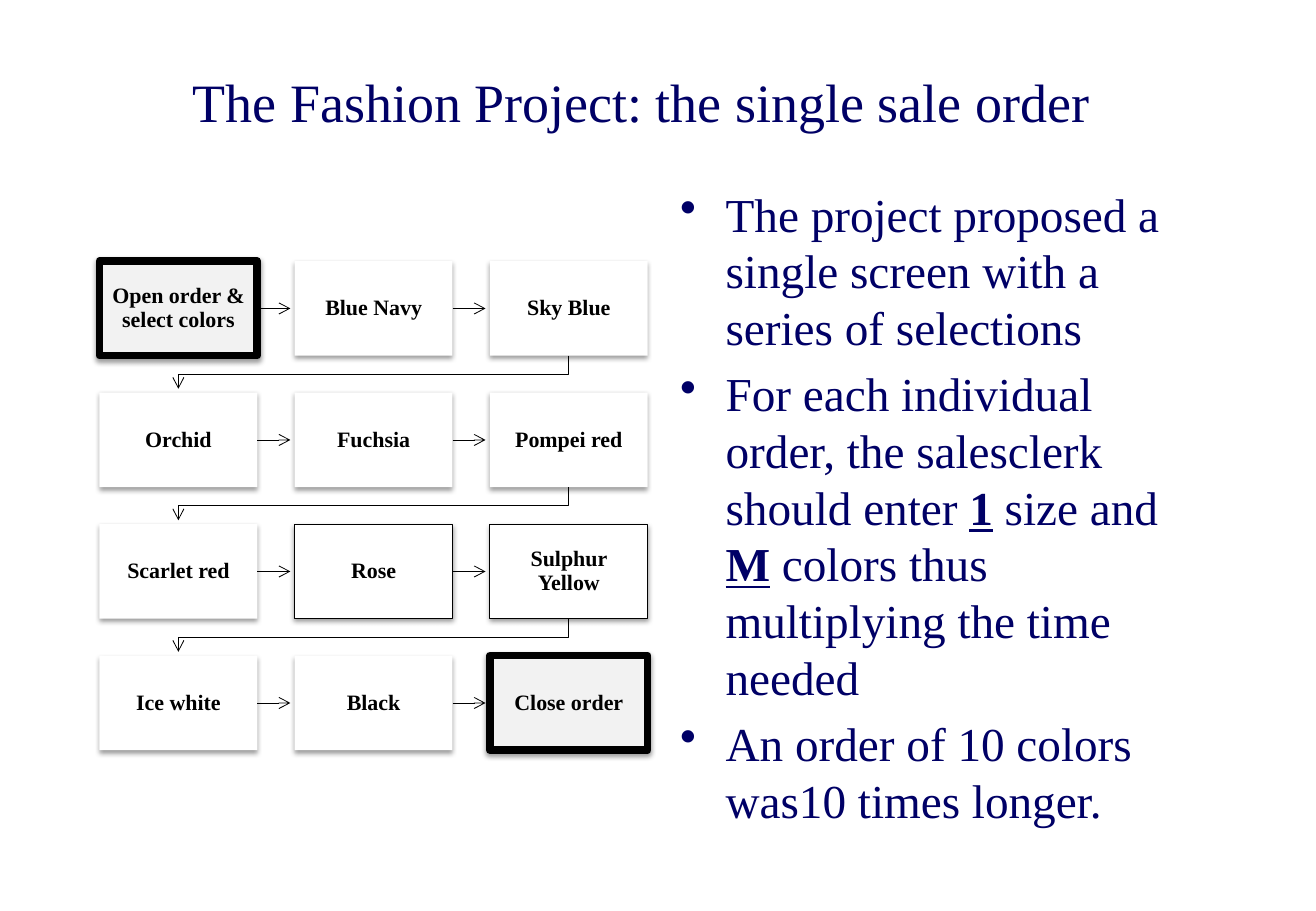
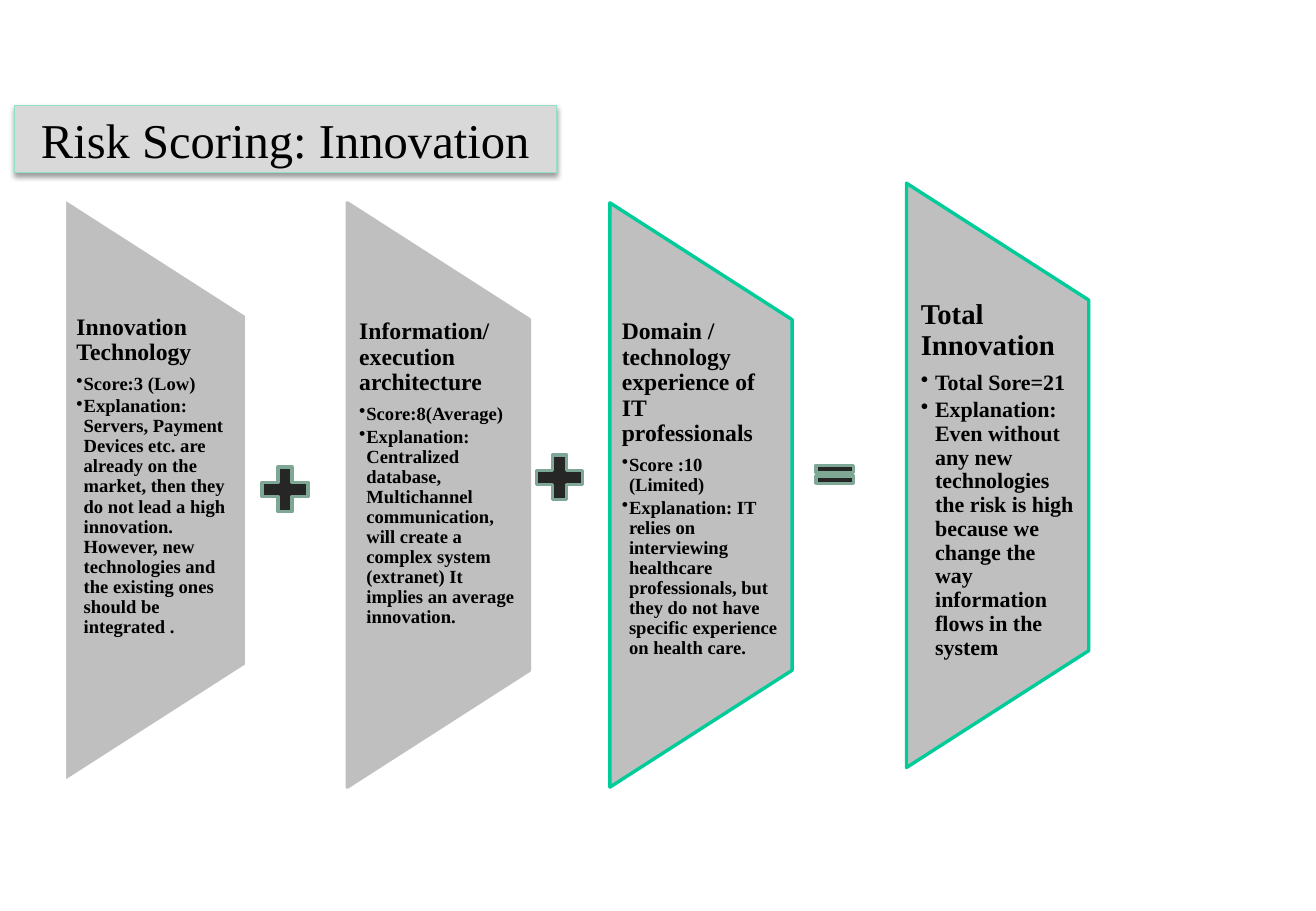
import pptx
import pptx.dml.color
import pptx.enum.shapes
import pptx.enum.text
import pptx.oxml
import pptx.oxml.ns
import pptx.util

Cm = pptx.util.Cm
Pt = pptx.util.Pt
RGBColor = pptx.dml.color.RGBColor
MSO_SHAPE = pptx.enum.shapes.MSO_SHAPE
PP_ALIGN = pptx.enum.text.PP_ALIGN
MSO_ANCHOR = pptx.enum.text.MSO_ANCHOR

FONT = "Times New Roman"
NAVY = RGBColor(0x00, 0x00, 0x66)
BLACK = RGBColor(0x00, 0x00, 0x00)
WHITE = RGBColor(0xFF, 0xFF, 0xFF)
PALE_GREY = RGBColor(0xF2, 0xF2, 0xF2)
TITLE_GREY = RGBColor(0xD9, 0xD9, 0xD9)
PANEL_GREY = RGBColor(0xBF, 0xBF, 0xBF)
CHARCOAL = RGBColor(0x26, 0x26, 0x26)
TEAL = RGBColor(0x00, 0xCC, 0x99)
LIGHT_TEAL = RGBColor(0x90, 0xDF, 0xC6)
SAGE = RGBColor(0x7E, 0xA7, 0x95)

ORDER_TITLE = "The Fashion Project: the single sale order"
ORDER_STEPS = [
    ["Open order & select colors", "Blue Navy", "Sky Blue"],
    ["Orchid", "Fuchsia", "Pompei red"],
    ["Scarlet red", "Rose", "Sulphur Yellow"],
    ["Ice white", "Black", "Close order"],
]
END_STEPS = ("Open order & select colors", "Close order")
OUTLINED_STEPS = ("Rose", "Sulphur Yellow")
# Each bullet is a list of (text, emphasized) runs.
ORDER_BULLETS = [
    [("The project proposed a single screen with a series of selections", False)],
    [("For each individual order, the salesclerk should enter ", False), ("1", True),
     (" size and ", False), ("M", True),
     (" colors thus multiplying the time needed", False)],
    [("An order of 10 colors was10 times longer.", False)],
]

RISK_TITLE = "Risk Scoring: Innovation"
# Left, top (cm), outline, heading size, bullet size, inset and indent (cm), texts.
RISK_PANELS = [
    (1.35, 6.58, WHITE, 14, 11, 0.25, 0.15, "Innovation Technology", [
        "Score:3 (Low)",
        "Explanation: Servers, Payment Devices etc. are already on the market, then "
        "they do not lead a high innovation. However, new technologies and the "
        "existing ones should be integrated ."]),
    (7.26, 6.68, PANEL_GREY, 14, 11, 0.25, 0.15, "Information/ execution architecture", [
        "Score:8(Average)",
        "Explanation: Centralized database, Multichannel communication, will create "
        "a complex system (extranet) It implies an average innovation."]),
    (12.75, 6.68, TEAL, 14, 11, 0.25, 0.15,
     "Domain / technology experience of IT professionals", [
         "Score :10 (Limited)",
         "Explanation: IT relies on interviewing healthcare professionals, but they "
         "do not have specific experience on health care."]),
    (18.95, 6.27, TEAL, 17, 13, 0.3, 0.3, "Total Innovation", [
        "Total Sore=21",
        "Explanation: Even without any new technologies the risk is high because we "
        "change the way information flows in the system"]),
]
OPERATORS = [
    (MSO_SHAPE.MATH_PLUS, 5.31, 9.6, 1.3, 1.27),
    (MSO_SHAPE.MATH_PLUS, 11.05, 9.35, 1.3, 1.27),
    (MSO_SHAPE.MATH_EQUAL, 16.92, 9.6, 1.07, 0.64),
]

STEP_LEFT, STEP_TOP, STEP_WIDTH, STEP_HEIGHT = 2.08, 5.46, 3.3, 1.98
STEP_PITCH_X, STEP_PITCH_Y = 4.08, 2.75
ARROW_LENGTH = 0.69
PANEL_WIDTH, PANEL_HEIGHT, PANEL_TEXT_HEIGHT = 3.81, 12.22, 7.34


def add_run(paragraph, text, size, color, bold=False, underline=False):
    run = paragraph.add_run()
    run.text = text
    run.font.name = FONT
    run.font.size = Pt(size)
    run.font.color.rgb = color
    run.font.bold = bold
    run.font.underline = underline


def add_bullet(paragraph, indent):
    properties = paragraph._p.get_or_add_pPr()
    properties.set("marL", str(Cm(indent)))
    properties.set("indent", str(-Cm(indent)))
    bullet = pptx.oxml.parse_xml(
        f'<a:buChar {pptx.oxml.ns.nsdecls("a")} char="•"/>')
    properties.append(bullet)


def set_frame(shape, anchor, inset_x=0.25, inset_y=0.13):
    frame = shape.text_frame
    frame.word_wrap = True
    frame.vertical_anchor = anchor
    frame.margin_left = frame.margin_right = Cm(inset_x)
    frame.margin_top = frame.margin_bottom = Cm(inset_y)
    return frame


def next_paragraph(frame, index):
    return frame.add_paragraph() if index else frame.paragraphs[0]


def add_preset(slide, preset, box, fill, line=None, line_width=0.5):
    shape = slide.shapes.add_shape(preset, *map(Cm, box))
    shape.shadow.inherit = False
    shape.fill.solid()
    shape.fill.fore_color.rgb = fill
    if line is None:
        shape.line.fill.background()
    else:
        shape.line.color.rgb = line
        shape.line.width = Pt(line_width)
    return shape


def add_drop_shadow(shape):
    effects = shape._element.spPr.find(pptx.oxml.ns.qn("a:effectLst"))
    effects.append(pptx.oxml.parse_xml(
        f'<a:outerShdw {pptx.oxml.ns.nsdecls("a")} blurRad="{Pt(3.1)}" '
        f'dist="{Pt(1.6)}" dir="5400000" rotWithShape="0">'
        '<a:srgbClr val="000000"><a:alpha val="38000"/></a:srgbClr></a:outerShdw>'))


def style_arrow(line):
    line.color.rgb = BLACK
    line.width = Pt(0.5)
    line._get_or_add_ln().append(pptx.oxml.parse_xml(
        f'<a:tailEnd {pptx.oxml.ns.nsdecls("a")} type="arrow"/>'))


def fill_title(shape, text, size, color):
    paragraph = set_frame(shape, MSO_ANCHOR.MIDDLE).paragraphs[0]
    paragraph.alignment = PP_ALIGN.CENTER
    add_run(paragraph, text, size, color)


def add_step(slide, label, left, top):
    box = (left, top, STEP_WIDTH, STEP_HEIGHT)
    if label in END_STEPS:
        step = add_preset(slide, MSO_SHAPE.RECTANGLE, box, PALE_GREY, BLACK, 4.5)
    else:
        outline = BLACK if label in OUTLINED_STEPS else None
        step = add_preset(slide, MSO_SHAPE.RECTANGLE, box, WHITE, outline)
    add_drop_shadow(step)
    paragraph = set_frame(step, MSO_ANCHOR.MIDDLE, 0.25, 0.25).paragraphs[0]
    paragraph.alignment = PP_ALIGN.CENTER
    paragraph.line_spacing = 0.9
    add_run(paragraph, label, 13, BLACK, bold=True)
    return step


def add_step_arrow(slide, step, left, top):
    start = left + STEP_WIDTH
    middle = Cm(top + STEP_HEIGHT / 2)
    arrow = slide.shapes.add_connector(
        pptx.enum.shapes.MSO_CONNECTOR.STRAIGHT,
        Cm(start), middle, Cm(start + ARROW_LENGTH), middle)
    arrow.begin_connect(step, 3)
    style_arrow(arrow.line)
    arrow._element.spPr.append(pptx.oxml.parse_xml(
        f'<a:effectLst {pptx.oxml.ns.nsdecls("a")}/>'))


def add_row_arrow(slide, left, top):
    """Lead from the last step of a row down to the first step of the next row."""
    start_x = left + STEP_WIDTH / 2
    end_x = STEP_LEFT + STEP_WIDTH / 2
    start_y = top + STEP_HEIGHT
    turn_y = (start_y + top + STEP_PITCH_Y) / 2
    builder = slide.shapes.build_freeform(Cm(start_x), Cm(start_y))
    corners = [(start_x, turn_y), (end_x, turn_y), (end_x, start_y + ARROW_LENGTH)]
    builder.add_line_segments([(Cm(x), Cm(y)) for x, y in corners], close=False)
    arrow = builder.convert_to_shape()
    arrow.shadow.inherit = False
    arrow.fill.background()
    style_arrow(arrow.line)


def build_order_slide(slide):
    title = slide.shapes.add_textbox(Cm(2.06), Cm(0.84), Cm(22.71), Cm(2.54))
    fill_title(title, ORDER_TITLE, 32, NAVY)

    for row, labels in enumerate(ORDER_STEPS):
        top = STEP_TOP + row * STEP_PITCH_Y
        for column, label in enumerate(labels):
            left = STEP_LEFT + column * STEP_PITCH_X
            step = add_step(slide, label, left, top)
            if column < len(labels) - 1:
                add_step_arrow(slide, step, left, top)
            elif row < len(ORDER_STEPS) - 1:
                add_row_arrow(slide, left, top)

    body = slide.shapes.add_textbox(Cm(13.97), Cm(4.24), Cm(11.48), Cm(12.7))
    frame = set_frame(body, MSO_ANCHOR.MIDDLE)
    for index, runs in enumerate(ORDER_BULLETS):
        paragraph = next_paragraph(frame, index)
        add_bullet(paragraph, 0.95)
        if index:
            paragraph.space_before = Pt(5.6)
        for text, emphasized in runs:
            add_run(paragraph, text, 28, NAVY, emphasized, emphasized)


def add_risk_panel(slide, left, top, outline, heading_size, bullet_size,
                   inset, indent, heading, bullets):
    center_x = left + PANEL_WIDTH / 2
    center_y = top + PANEL_TEXT_HEIGHT / 2
    box = (center_x - PANEL_HEIGHT / 2, center_y - PANEL_WIDTH / 2,
           PANEL_HEIGHT, PANEL_WIDTH)
    panel = add_preset(slide, MSO_SHAPE.FLOWCHART_MANUAL_OPERATION, box,
                       PANEL_GREY, outline, 2)
    panel.rotation = 270

    text_box = slide.shapes.add_textbox(
        Cm(left), Cm(top), Cm(PANEL_WIDTH), Cm(PANEL_TEXT_HEIGHT))
    frame = set_frame(text_box, MSO_ANCHOR.TOP, inset, 0)
    for index, text in enumerate([heading] + bullets):
        paragraph = next_paragraph(frame, index)
        size, spacing = (bullet_size, 0.15) if index else (heading_size, 0.35)
        if index:
            paragraph.level = 1
            add_bullet(paragraph, indent)
        paragraph.line_spacing = 0.9
        paragraph.space_after = Pt(size * spacing)
        add_run(paragraph, text, size, BLACK, bold=True)


def build_risk_slide(slide):
    title = add_preset(slide, MSO_SHAPE.RECTANGLE, (0.3, 2.21, 11.33, 1.4),
                       TITLE_GREY, LIGHT_TEAL, 0.75)
    add_drop_shadow(title)
    fill_title(title, RISK_TITLE, 28.8, BLACK)
    for panel in RISK_PANELS:
        add_risk_panel(slide, *panel)
    for preset, *box in OPERATORS:
        add_preset(slide, preset, box, CHARCOAL, SAGE, 2)


def main():
    presentation = pptx.Presentation()
    presentation.slide_width = Cm(27.51)
    presentation.slide_height = Cm(19.05)
    for build in (build_order_slide, build_risk_slide):
        build(presentation.slides.add_slide(presentation.slide_layouts[6]))
    presentation.save("out.pptx")


if __name__ == "__main__":
    main()
